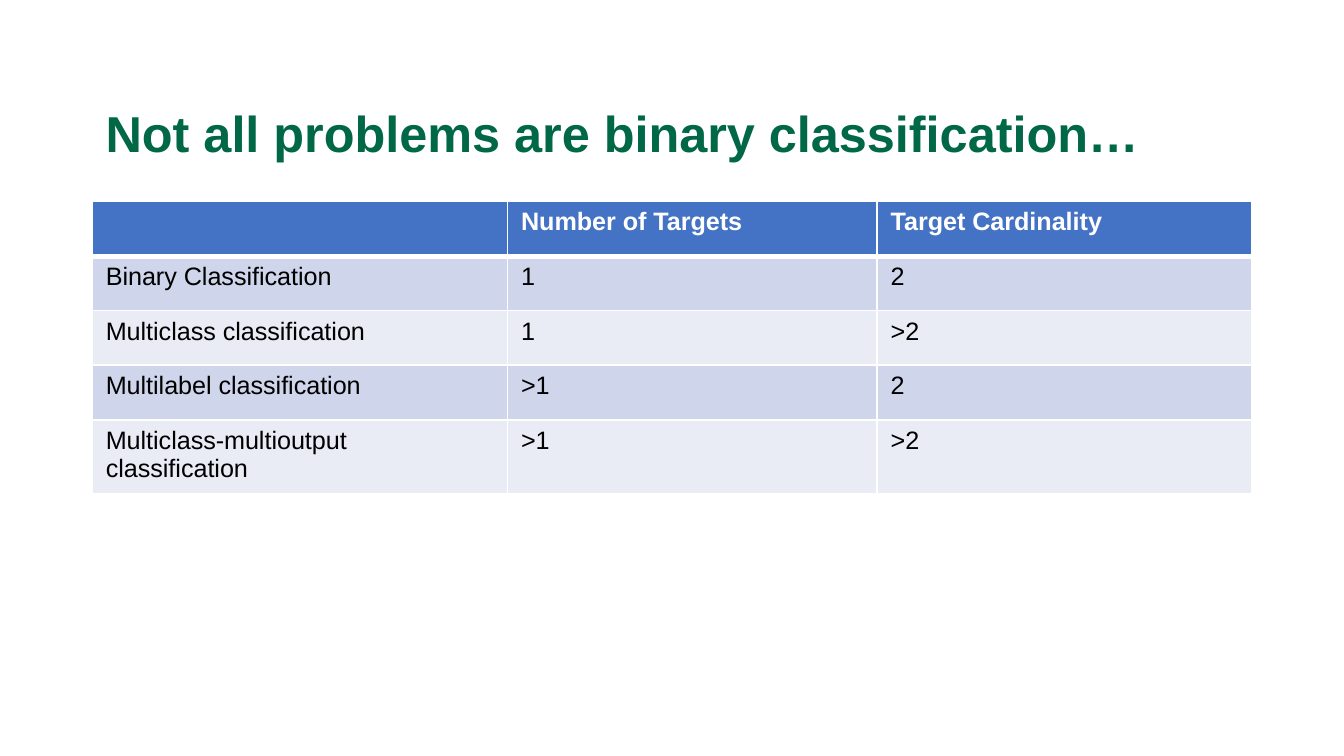
from lxml.etree import SubElement
from pptx import Presentation
from pptx.dml.color import RGBColor
from pptx.enum.text import MSO_ANCHOR
from pptx.oxml.ns import qn
from pptx.util import Inches, Pt

HEADER_FILL = "4472C4"
BAND_FILLS = ["CFD5EA", "E9EBF5"]
BORDER_COLOR = "FFFFFF"
LEFT = Inches(11 / 16)
COLUMN_WIDTHS = [3.09, 2.75, 2.79]
ROWS = [
    ["", "Number of Targets", "Target Cardinality"],
    ["Binary Classification", "1", "2"],
    ["Multiclass classification", "1", ">2"],
    ["Multilabel classification", ">1", "2"],
    ["Multiclass-multioutput classification", ">1", ">2"],
]
ROW_HEIGHT = Inches(2.03 / len(ROWS))


def write(text_frame, text, size=13.5, font_color="000000", bold=False, line_spacing=None):
    paragraph = text_frame.paragraphs[0]
    paragraph.line_spacing = line_spacing
    if text:
        run = paragraph.add_run()
        run.text = text
        run.font.name = "Arial"
        run.font.size = Pt(size)
        run.font.bold = bold
        run.font.color.rgb = RGBColor.from_string(font_color)
    SubElement(paragraph._p, qn("a:endParaRPr"), sz=str(int(size * 100)))


def set_borders(cell, top=1, bottom=1):
    """Draw the four cell borders, with widths in points; call before filling the cell."""
    properties = cell._tc.get_or_add_tcPr()
    for side, width in {"L": 1, "R": 1, "T": top, "B": bottom}.items():
        line = SubElement(properties, qn(f"a:ln{side}"), w=str(Pt(width)))
        fill = SubElement(line, qn("a:solidFill"))
        SubElement(fill, qn("a:srgbClr"), val=BORDER_COLOR)


presentation = Presentation()
presentation.slide_width = Inches(10)
presentation.slide_height = Inches(10 * 9 / 16)
slide = presentation.slides.add_slide(presentation.slide_layouts[6])

title = slide.shapes.add_textbox(LEFT, Inches(0.63), Inches(8.62), Inches(0.76))
title.text_frame.word_wrap = True
title.text_frame.vertical_anchor = MSO_ANCHOR.MIDDLE
write(title.text_frame, "Not all problems are binary classification…",
      size=27, font_color="006747", bold=True, line_spacing=0.9)

table = slide.shapes.add_table(
    len(ROWS), len(COLUMN_WIDTHS), LEFT, Inches(1.5),
    Inches(sum(COLUMN_WIDTHS)), ROW_HEIGHT * len(ROWS),
).table
for column, width in zip(table.columns, COLUMN_WIDTHS):
    column.width = Inches(width)

for row_index, texts in enumerate(ROWS):
    is_header = row_index == 0
    fill_color = HEADER_FILL if is_header else BAND_FILLS[(row_index - 1) % 2]
    table.rows[row_index].height = ROW_HEIGHT
    for column_index, text in enumerate(texts):
        cell = table.cell(row_index, column_index)
        # The rule under the header is shared by the first two rows
        set_borders(cell, top=3 if row_index == 1 else 1, bottom=3 if is_header else 1)
        cell.fill.solid()
        cell.fill.fore_color.rgb = RGBColor.from_string(fill_color)
        write(cell.text_frame, text, bold=is_header,
              font_color="FFFFFF" if is_header else "000000")

presentation.save("out.pptx")
